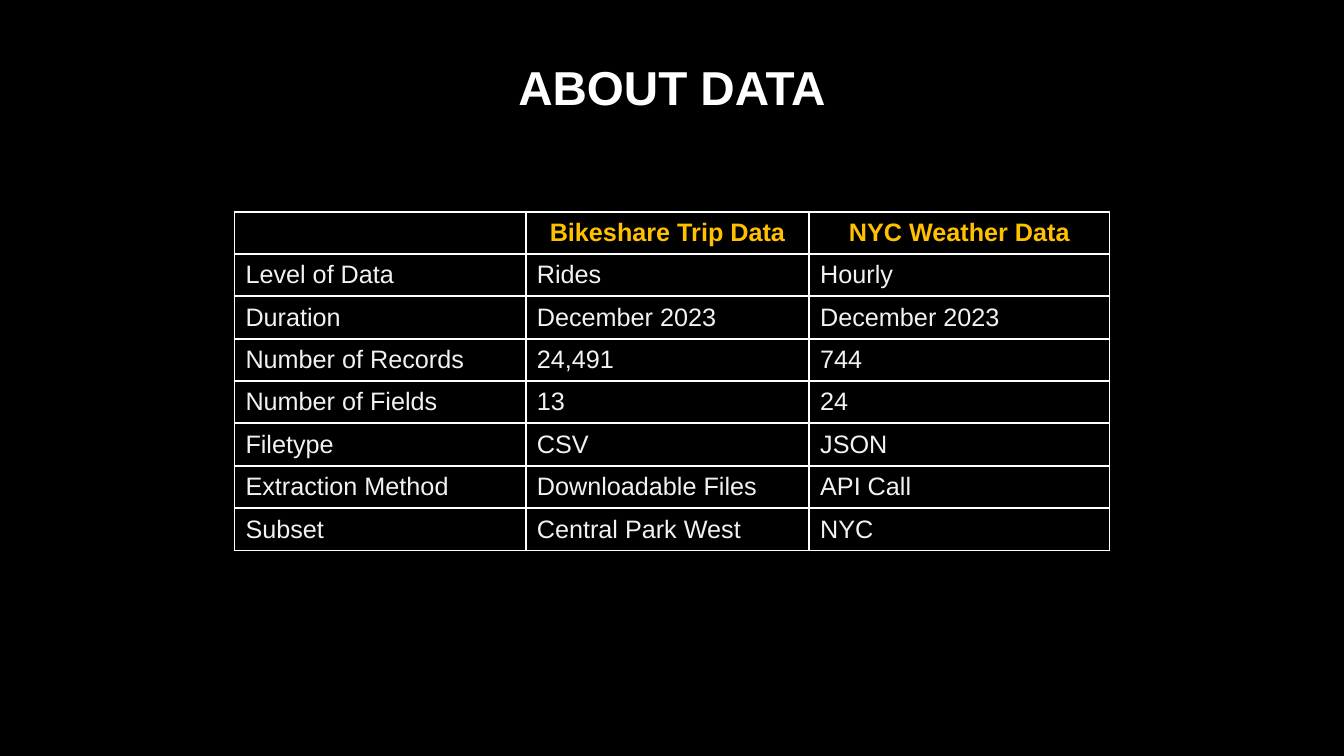
from dataclasses import dataclass

from lxml.etree import SubElement
from pptx import Presentation
from pptx.dml.color import RGBColor
from pptx.enum.text import MSO_ANCHOR as Anchor, MSO_AUTO_SIZE as Fit, PP_ALIGN as Align
from pptx.oxml.ns import qn
from pptx.util import Inches, Pt

WIDE, HIGH = Inches(13.33), Inches(7.5)
FONT = "Arial"
COLORS = {"back": "000000", "title": "FFFFFF", "line": "FFFFFF",
          "head": "FFC000", "body": "F2F2F2"}


@dataclass(frozen=True)
class Style:
    size: float
    color: str
    bold: bool
    align: Align


TITLE = Style(34, "title", True, Align.CENTER)
HEAD = Style(18, "head", True, Align.CENTER)
BODY = Style(18, "body", False, Align.LEFT)

COLS = (2.89, 2.81, 2.98)
ROWS = (
    ("", "Bikeshare Trip Data", "NYC Weather Data"),
    ("Level of Data", "Rides", "Hourly"),
    ("Duration", "December 2023", "December 2023"),
    ("Number of Records", "24,491", "744"),
    ("Number of Fields", "13", "24"),
    ("Filetype", "CSV", "JSON"),
    ("Extraction Method", "Downloadable Files", "API Call"),
    ("Subset", "Central Park West", "NYC"),
)


def rgb(name: str) -> RGBColor:
    return RGBColor.from_string(COLORS[name])


def write(para, text: str, style: Style) -> None:
    para.text = text
    para.alignment = style.align
    font = para.font
    font.name, font.size, font.bold = FONT, Pt(style.size), style.bold
    font.color.rgb = rgb(style.color)


def edge(cell, width: float = 1.5) -> None:
    """Draw all four borders; call before the cell gets its fill."""
    props = cell._tc.get_or_add_tcPr()
    for side in ("lnL", "lnR", "lnT", "lnB"):
        line = SubElement(props, qn(f"a:{side}"), w=str(Pt(width)))
        fill = SubElement(line, qn("a:solidFill"))
        SubElement(fill, qn("a:srgbClr"), val=COLORS["line"])


def add_title(slide, text: str) -> None:
    title = slide.shapes.title
    title.left, title.top = 0, Inches(0.48)
    title.width, title.height = WIDE, Inches(0.64)
    frame = title.text_frame
    frame.margin_left = frame.margin_right = 0
    frame.margin_top = frame.margin_bottom = 0
    frame.vertical_anchor = Anchor.TOP
    frame.auto_size = Fit.SHAPE_TO_FIT_TEXT
    para = frame.paragraphs[0]
    write(para, text, TITLE)
    para.line_spacing = Pt(47.6)


def add_grid(slide) -> None:
    width, height = Inches(sum(COLS)), Inches(3.3)
    frame = slide.shapes.add_table(len(ROWS), len(COLS), (WIDE - width) // 2,
                                   Inches(2.1), width, height)
    table = frame.table
    table.horz_banding = False
    for col, size in zip(table.columns, COLS):
        col.width = Inches(size)
    for r, row in enumerate(ROWS):
        table.rows[r].height = height // len(ROWS)
        for c, text in enumerate(row):
            cell = table.cell(r, c)
            edge(cell)
            cell.fill.solid()
            cell.fill.fore_color.rgb = rgb("back")
            cell.margin_left = cell.margin_right = Inches(0.11)
            cell.margin_top = cell.margin_bottom = Inches(0.06)
            cell.vertical_anchor = Anchor.MIDDLE
            write(cell.text_frame.paragraphs[0], text, BODY if r else HEAD)


def main() -> None:
    deck = Presentation()
    deck.slide_width, deck.slide_height = WIDE, HIGH
    slide = deck.slides.add_slide(deck.slide_layouts[5])
    back = slide.background.fill
    back.solid()
    back.fore_color.rgb = rgb("back")
    add_title(slide, "ABOUT DATA")
    add_grid(slide)
    deck.save("out.pptx")


if __name__ == "__main__":
    main()
